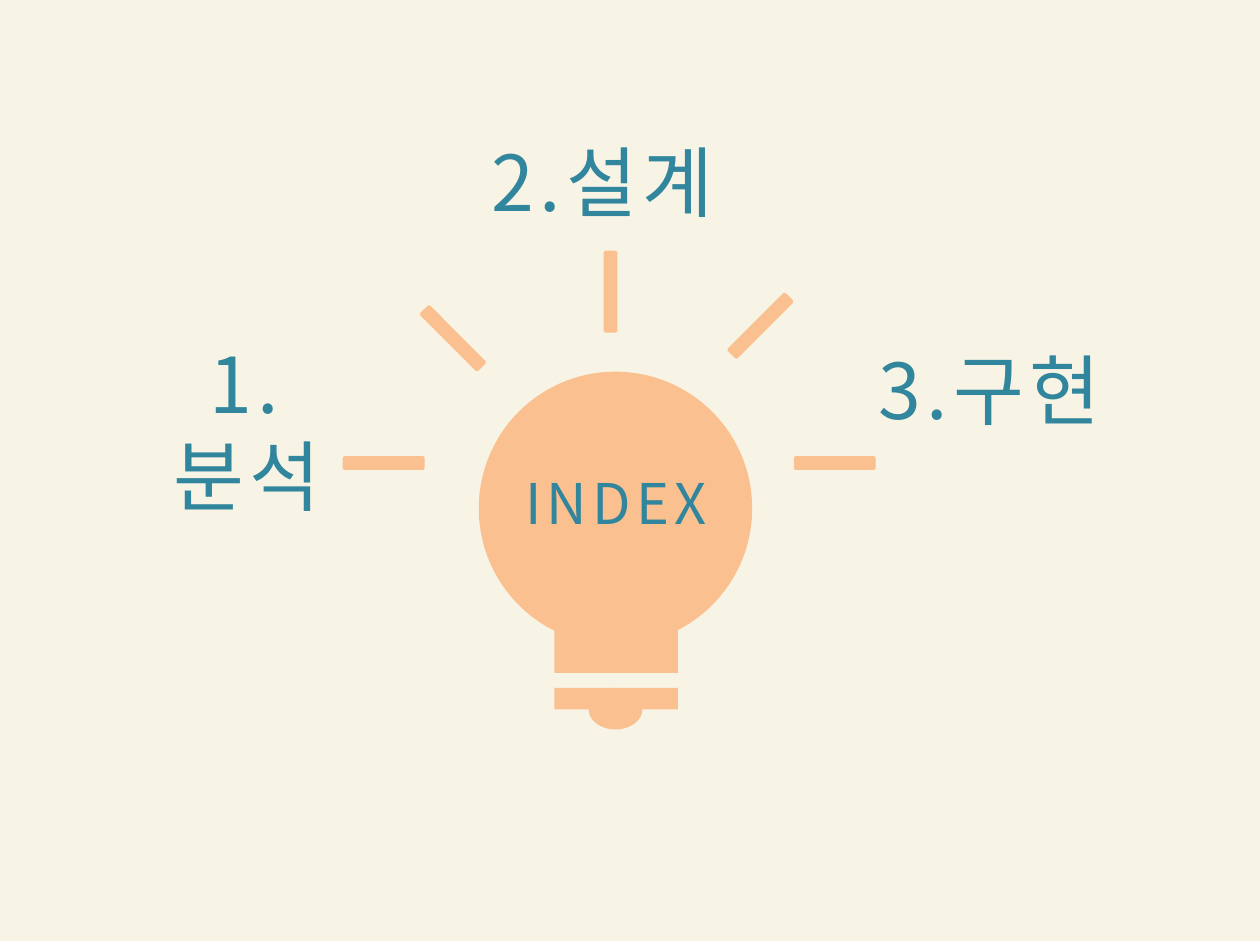
from lxml.etree import SubElement
from pptx import Presentation
from pptx.dml.color import RGBColor
from pptx.enum.shapes import MSO_SHAPE
from pptx.enum.text import MSO_AUTO_SIZE, PP_ALIGN
from pptx.oxml.ns import qn
from pptx.util import Inches, Pt

COLORS = {"cream": "F7F4E5", "peach": "FAC090", "teal": "31859C"}
FONT = "Noto Sans CJK KR"

prs = Presentation()
prs.slide_width, prs.slide_height = Inches(10), Inches(7.5)
slide = prs.slides.add_slide(prs.slide_layouts[6])


def add_filled(shapes, kind, left, top, width, height, color, rotation=0):
    shape = shapes.add_shape(kind, Inches(left), Inches(top), Inches(width), Inches(height))
    shape.shadow.inherit = False
    shape.fill.solid()
    shape.fill.fore_color.rgb = RGBColor.from_string(COLORS[color])
    shape.line.fill.background()
    shape.rotation = rotation


def add_label(text, left, top, width, height, size=44, color="teal", spacing=3):
    label = slide.shapes.add_textbox(Inches(left), Inches(top), Inches(width), Inches(height))
    label.text_frame.word_wrap = True
    label.text_frame.auto_size = MSO_AUTO_SIZE.SHAPE_TO_FIT_TEXT
    paragraph = label.text_frame.paragraphs[0]
    paragraph.alignment = PP_ALIGN.CENTER
    run = paragraph.add_run()
    run.text = text
    run.font.size = Pt(size)
    run.font.name = FONT
    run.font.color.rgb = RGBColor.from_string(COLORS[color])
    properties = run.font._element
    properties.set("spc", str(spacing * 100))
    SubElement(properties, qn("a:ea")).set("typeface", FONT)


add_filled(slide.shapes, MSO_SHAPE.RECTANGLE, 0, -0.03, 10, 7.5, "cream")

bulb = slide.shapes.add_group_shape()
for kind, left, top, width, height in [
    (MSO_SHAPE.OVAL, 3.8, 2.95, 2.17, 2.17),
    (MSO_SHAPE.RECTANGLE, 4.4, 4.67, 0.98, 0.67),
    (MSO_SHAPE.RECTANGLE, 4.4, 5.46, 0.98, 0.17),
    (MSO_SHAPE.OVAL, 4.67, 5.46, 0.43, 0.33),
]:
    add_filled(bulb.shapes, kind, left, top, width, height, "peach")

for left, top, rotation in [
    (2.72, 3.62, 0),
    (3.27, 2.63, 45),
    (4.52, 2.26, 90),
    (6.3, 3.62, 0),
    (5.71, 2.53, 135),
]:
    add_filled(bulb.shapes, MSO_SHAPE.ROUNDED_RECTANGLE, left, top, 0.65, 0.11, "peach", rotation)

add_label("INDEX", 3.98, 3.67, 1.82, 0.64, size=32)
for topic, left, top, width in [
    ("1.분석", 1.05, 2.62, 1.82),
    ("2.설계", 3.66, 1.02, 2.25),
    ("3.구현", 6.73, 2.67, 2.25),
]:
    add_label(topic, left, top, width, 0.84)

prs.save("out.pptx")
